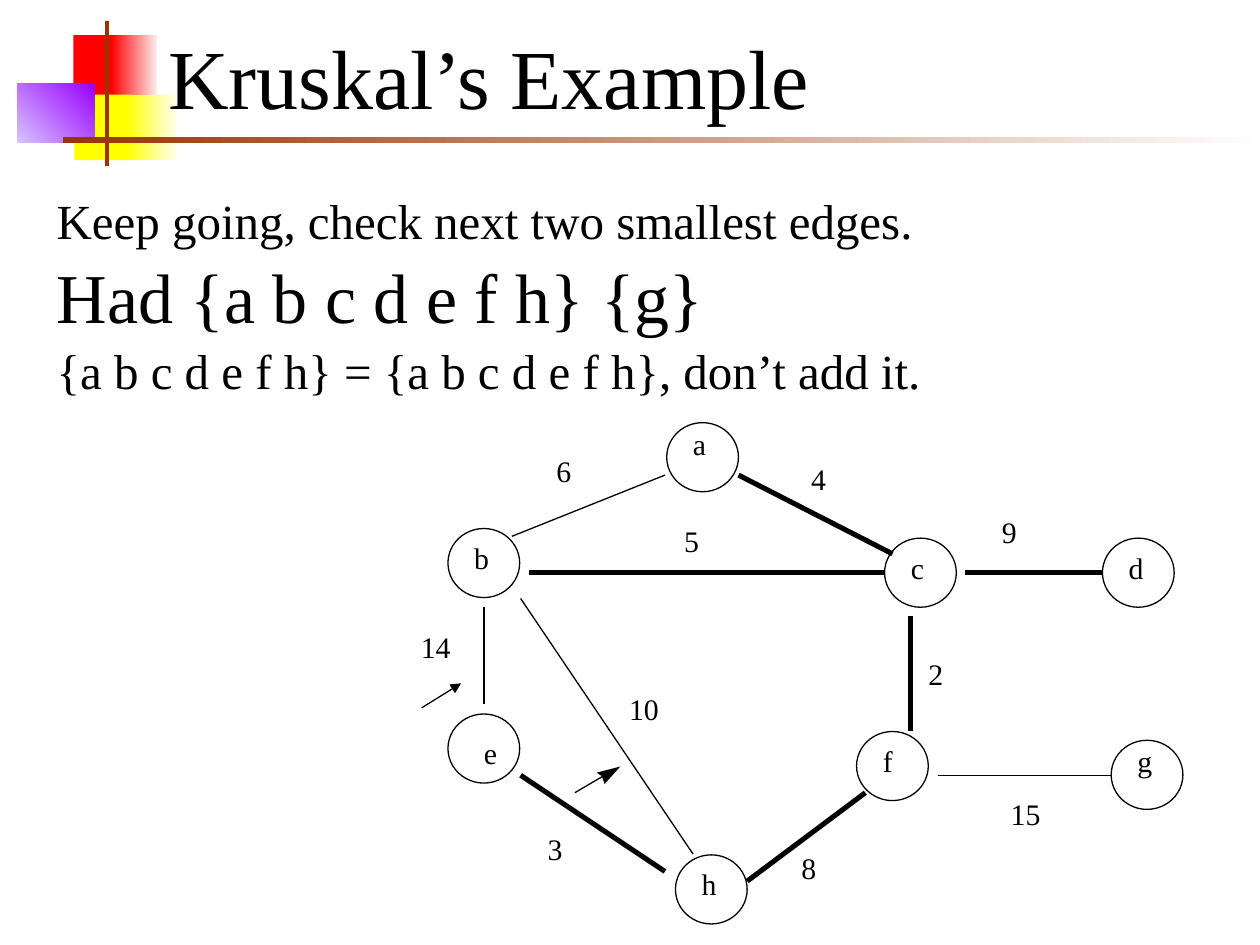
from dataclasses import dataclass

import pptx
import pptx.dml.color
import pptx.enum.shapes
import pptx.enum.text
import pptx.oxml
import pptx.oxml.ns
import pptx.util

Pt = pptx.util.Pt
SHAPE = pptx.enum.shapes.MSO_SHAPE
ANCHOR = pptx.enum.text.MSO_ANCHOR
FONT = "Times New Roman"
BLACK = "000000"
NODE_W, NODE_H = 41, 39.5
THIN, THICK = 0.75, 2.88


@dataclass
class Block:
    x: float
    y: float
    w: float
    h: float
    colors: tuple[str, ...]
    angle: float = 0


@dataclass
class Node:
    name: str
    x: float
    y: float
    dx: float
    dy: float


@dataclass
class Edge:
    x1: float
    y1: float
    x2: float
    y2: float
    width: float
    weight: str
    label_x: float
    label_y: float


BLOCKS = [
    Block(42, 20, 25, 37.5, ("FF0000",)),
    Block(63.5, 20, 26, 37.5, ("FF0000", "FFEAEA")),
    Block(42.5, 54, 33, 37.5, ("FFFF00",)),
    Block(72, 54, 29, 37.5, ("FFFF00", "FFFFF0")),
    Block(10, 48, 44, 33.5, ("D8C4FF", "9900FF"), 45),
    Block(60, 12, 2.3, 83, ("993300",)),
    Block(36, 78, 684, 3.7, ("993300", "FFFFFF")),
]

NODES = [
    Node("a", 381, 241.5, 15, 2),
    Node("b", 256, 302, 15, 6.5),
    Node("c", 505.5, 307.5, 15, 6.5),
    Node("d", 630, 307.5, 15, 6.5),
    Node("e", 256, 408, 20.5, 12),
    Node("f", 489.5, 418, 15, 6.5),
    Node("g", 635, 423, 15, 1.5),
    Node("h", 386, 488.5, 15, 6.5),
]

EDGES = [
    Edge(292.5, 306.5, 380, 271.5, THIN, "6", 318, 258.5),
    Edge(422, 271.5, 510, 316.5, THICK, "4", 463.5, 263.5),
    Edge(302.5, 327, 505.5, 327, THICK, "5", 391, 299),
    Edge(551.5, 327, 630, 327, THICK, "9", 572.5, 293.5),
    Edge(276.5, 347, 276.5, 402.5, THIN, "14", 240.5, 359.5),
    Edge(297.5, 443, 380, 498, THICK, "3", 313, 475),
    Edge(427, 503.5, 494.5, 453, THICK, "8", 458, 485.5),
    Edge(297.5, 342, 396, 488, THIN, "10", 359.5, 394.5),
    Edge(520.5, 352, 520.5, 417.5, THICK, "2", 530.5, 374.5),
    Edge(536, 443, 635, 443, THIN, "15", 577.5, 455),
]


def rgb(value: str) -> pptx.dml.color.RGBColor:
    return pptx.dml.color.RGBColor.from_string(value)


def add_block(slide, b: Block) -> None:
    sp = slide.shapes.add_shape(SHAPE.RECTANGLE, Pt(b.x), Pt(b.y), Pt(b.w), Pt(b.h))
    sp.shadow.inherit = False
    sp.line.fill.background()
    if len(b.colors) == 1:
        sp.fill.solid()
        sp.fill.fore_color.rgb = rgb(b.colors[0])
        return
    sp.fill.gradient()
    sp.fill.gradient_angle = b.angle
    for stop, color in zip(sp.fill.gradient_stops, b.colors):
        stop.color.rgb = rgb(color)


def add_text(slide, x: float, y: float, w: float, h: float,
             lines: list[tuple[str, float]], anchor=ANCHOR.TOP, gap: float = 0) -> None:
    tf = slide.shapes.add_textbox(Pt(x), Pt(y), Pt(w), Pt(h)).text_frame
    tf.word_wrap = True
    tf.vertical_anchor = anchor
    tf.margin_left = tf.margin_right = tf.margin_top = tf.margin_bottom = 0
    tf.text = "\n".join(text for text, _ in lines)
    for i, (p, (_, size)) in enumerate(zip(tf.paragraphs, lines)):
        p.space_before = Pt(gap if i else 0)
        for r in p.runs:
            r.font.name = FONT
            r.font.size = Pt(size)
            r.font.color.rgb = rgb(BLACK)


def add_line(slide, x1: float, y1: float, x2: float, y2: float,
             width: float, arrow: bool = False) -> None:
    cxn = slide.shapes.add_connector(
        pptx.enum.shapes.MSO_CONNECTOR.STRAIGHT, Pt(x1), Pt(y1), Pt(x2), Pt(y2))
    cxn.line.color.rgb = rgb(BLACK)
    cxn.line.width = Pt(width)
    if arrow:
        ln = cxn.line._get_or_add_ln()
        tail = pptx.oxml.parse_xml(
            f'<a:tailEnd {pptx.oxml.ns.nsdecls("a")} type="triangle"/>')
        ln.append(tail)
    cxn._element.spPr.append(
        pptx.oxml.parse_xml(f'<a:effectLst {pptx.oxml.ns.nsdecls("a")}/>'))


def add_circle(slide, n: Node) -> None:
    sp = slide.shapes.add_shape(SHAPE.OVAL, Pt(n.x), Pt(n.y), Pt(NODE_W), Pt(NODE_H))
    sp.shadow.inherit = False
    sp.fill.solid()
    sp.fill.fore_color.rgb = rgb("FFFFFF")
    sp.line.color.rgb = rgb(BLACK)
    sp.line.width = Pt(THIN)


def add_label(slide, text: str, x: float, y: float) -> None:
    add_text(slide, x, y, 10.5 * len(text), 24.5, [(text, 17)])


def add_barbed_head(slide, points: list[tuple[float, float]]) -> None:
    start, *rest = [(Pt(x), Pt(y)) for x, y in points]
    fb = slide.shapes.build_freeform(*start)
    fb.add_line_segments(rest, close=True)
    sp = fb.convert_to_shape()
    sp.shadow.inherit = False
    sp.fill.solid()
    sp.fill.fore_color.rgb = rgb(BLACK)
    sp.line.fill.background()


prs = pptx.Presentation()
prs.slide_width, prs.slide_height = Pt(720), Pt(540)
slide = prs.slides.add_slide(prs.slide_layouts[6])

for block in BLOCKS:
    add_block(slide, block)
add_text(slide, 96, 6, 613.5, 66, [("Kruskal’s Example", 48)], ANCHOR.BOTTOM)
add_text(slide, 32.4, 109, 540, 130, [
    ("Keep going, check next two smallest edges.", 28),
    ("Had {a b c d e f h} {g}", 40),
    ("{a b c d e f h} = {a b c d e f h}, don’t add it.", 28),
], gap=2)

for node in NODES:
    add_circle(slide, node)
for e in EDGES:
    add_line(slide, e.x1, e.y1, e.x2, e.y2, e.width)
    add_label(slide, e.weight, e.label_x, e.label_y)
for node in NODES:
    add_label(slide, node.name, node.x + node.dx, node.y + node.dy)

add_line(slide, 328.5, 453, 345.5, 443, THIN)
add_barbed_head(slide, [(345.5, 448), (344, 443.5), (341, 441.5), (354.5, 438)])
add_line(slide, 241, 404.5, 263.5, 390.5, THIN, arrow=True)

prs.save("out.pptx")
